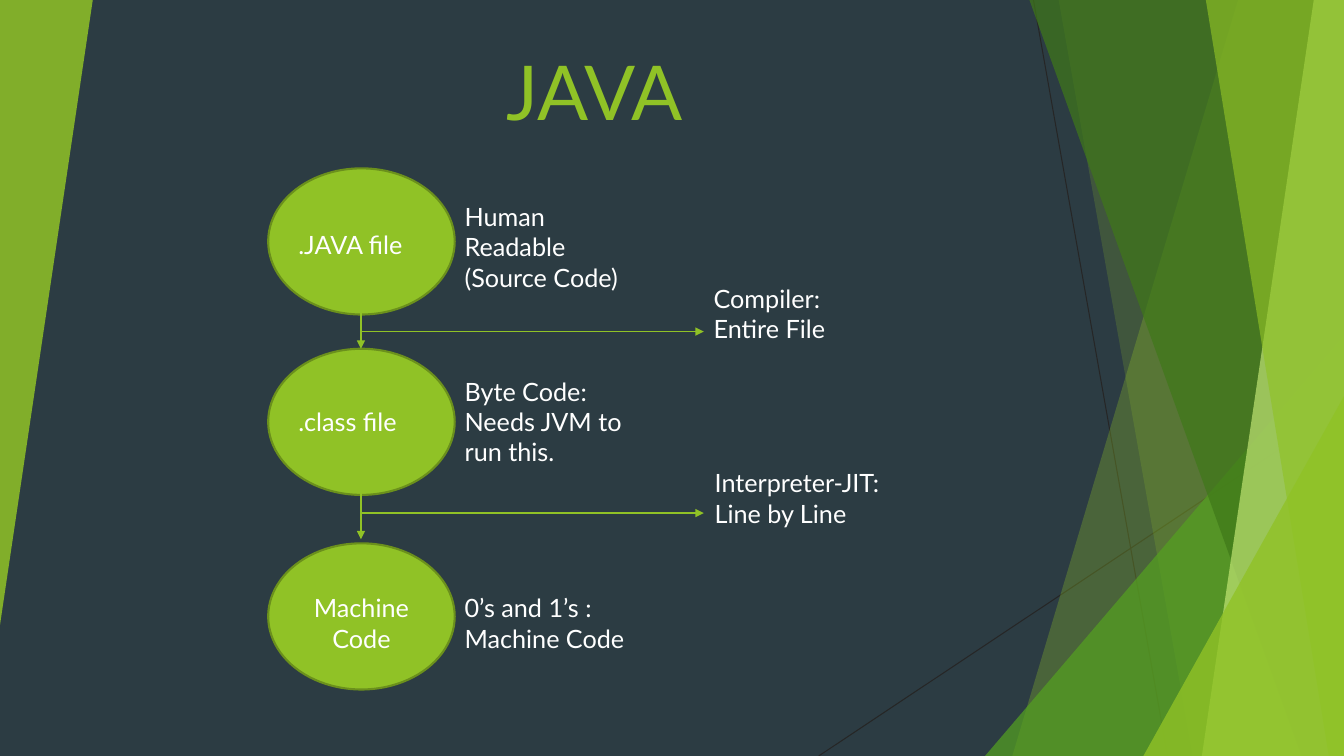
"""Build the JAVA compilation flow slide."""
from dataclasses import dataclass

from lxml.etree import SubElement
from pptx import Presentation
from pptx.dml.color import RGBColor
from pptx.enum.shapes import MSO_CONNECTOR, MSO_SHAPE
from pptx.enum.text import MSO_ANCHOR, PP_ALIGN
from pptx.oxml.ns import qn
from pptx.util import Inches, Pt


@dataclass(frozen=True)
class Theme:
    """Colours, font and type sizes of the slide."""
    background: str = "2C3C43"
    accent: str = "90C226"
    outline: str = "6B901C"
    leaf: str = "54A021"
    forest: str = "3F7819"
    lime: str = "C0E474"
    hairline: str = "262626"
    text: str = "FFFFFF"
    font: str = "Lato"
    title_size: int = 54
    body_size: int = 18


class SlideBuilder:
    """Hold the theme and current slide and draw each kind of element."""

    def __init__(self, slide, theme):
        self.slide = slide
        self.theme = theme
        self.paint(slide.background.fill, theme.background)

    def paint(self, fill, color, opacity=100):
        """Apply a solid colour with a percentage of opacity."""
        fill.solid()
        fill.fore_color.rgb = RGBColor.from_string(color)
        if opacity < 100:
            color_element = fill._xPr.find(qn("a:solidFill"))[0]
            SubElement(color_element, qn("a:alpha"), val=str(opacity * 1000))

    def finish(self, shape, color, opacity=100):
        """Fill a shape and remove its line and shadow."""
        shape.shadow.inherit = False
        self.paint(shape.fill, color, opacity)
        shape.line.fill.background()

    def facet(self, top, bottom, color, opacity):
        """Draw a full-height band from a slanted left edge to the right edge."""
        corners = [(top, 0), (WIDTH, 0), (WIDTH, HEIGHT), (bottom, HEIGHT)]
        points = [(Inches(x), Inches(y)) for x, y in corners]
        outline = self.slide.shapes.build_freeform(*points[0])
        outline.add_line_segments(points[1:], close=True)
        self.finish(outline.convert_to_shape(), color, opacity)

    def triangle(self, box, color, opacity, rotation=0):
        """Draw a right-angled triangle with its apex at the right."""
        shape = self.slide.shapes.add_shape(MSO_SHAPE.ISOSCELES_TRIANGLE, *map(Inches, box))
        shape.adjustments[0] = 1
        shape.rotation = rotation
        self.finish(shape, color, opacity)

    def ellipse(self, box):
        """Draw an outlined stage ellipse."""
        shape = self.slide.shapes.add_shape(MSO_SHAPE.OVAL, *map(Inches, box))
        self.finish(shape, self.theme.accent)
        self.paint(shape.line.fill, self.theme.outline)
        shape.line.width = Pt(1.5)

    def line(self, start, end, color, width, arrow=False):
        """Draw a straight line, optionally ending in an arrowhead."""
        connector = self.slide.shapes.add_connector(
            MSO_CONNECTOR.STRAIGHT, *map(Inches, (*start, *end)))
        self.paint(connector.line.fill, color)
        connector.line.width = Pt(width)
        if arrow:
            SubElement(connector.line._get_or_add_ln(), qn("a:tailEnd"), type="triangle")
        SubElement(connector._element.spPr, qn("a:effectLst"))

    def text(self, box, words, align=PP_ALIGN.LEFT, anchor=MSO_ANCHOR.TOP, **font_values):
        """Add a wrapped text box with one paragraph."""
        frame = self.slide.shapes.add_textbox(*map(Inches, box)).text_frame
        paragraph = frame.paragraphs[0]
        paragraph.text = words
        font = paragraph.runs[0].font
        color = font_values.pop("color", self.theme.text)
        font.color.rgb = RGBColor.from_string(color)
        formats = {
            frame: {"word_wrap": True, "vertical_anchor": anchor},
            paragraph: {"alignment": align},
            font: {"name": self.theme.font, "size": Pt(self.theme.body_size), **font_values},
        }
        for target, values in formats.items():
            for name, value in values.items():
                setattr(target, name, value)


WIDTH, HEIGHT = 13.33, 7.5
STAGE_LEFT, STAGE_WIDTH, STAGE_HEIGHT = 2.66, 1.85, 1.45
LABEL_LEFT, LABEL_WIDTH = 2.86, 1.45
NOTE_LEFT, NOTE_WIDTH = 4.51, 1.84
AXIS, BRANCH_END = 3.58, 6.98

STAGES = [
    (1.67, ".JAVA file", 2.23, PP_ALIGN.LEFT, "Human Readable (Source Code)", 1.95),
    (3.46, ".class file", 3.98, PP_ALIGN.LEFT, "Byte Code: Needs JVM to run this.", 3.68),
    (5.39, "Machine Code", 5.83, PP_ALIGN.CENTER, "0’s and 1’s : Machine Code", 5.83),
]
STEPS = [
    (3.11, 3.46, 3.29, "Compiler: Entire File", 6.98, 2.76),
    (4.87, 5.35, 5.09, "Interpreter-JIT: Line by Line", 6.99, 4.59),
]


def draw_backdrop(builder):
    """Draw the translucent facets at both sides."""
    theme = builder.theme
    builder.line((10.25, 0), (11.58, HEIGHT), theme.hairline, 0.75)
    builder.line((WIDTH, 4.03), (8.12, HEIGHT), theme.hairline, 0.75)
    builder.facet(12.28, 10.04, theme.accent, 30)
    builder.facet(10.5, 11.83, theme.accent, 20)
    builder.triangle((9.77, 3.33, 3.56, 4.17), theme.leaf, 72)
    builder.facet(10.21, 12.91, theme.forest, 70)
    builder.facet(13.03, 11.92, theme.lime, 70)
    builder.facet(11.96, 13.18, theme.accent, 65)
    builder.triangle((11.34, 3.93, 1.99, 3.57), theme.accent, 80)
    builder.triangle((0, 0, 0.92, 6.2), theme.accent, 85, rotation=180)


def draw_flow(builder):
    """Draw the title, the stages and the steps between them."""
    theme = builder.theme
    builder.text((1.65, 0.5, 8.49, 0.9), "JAVA", PP_ALIGN.CENTER, MSO_ANCHOR.BOTTOM,
                 size=Pt(theme.title_size), color=theme.accent)
    for top, label, label_top, align, note, note_top in STAGES:
        builder.ellipse((STAGE_LEFT, top, STAGE_WIDTH, STAGE_HEIGHT))
        builder.text((LABEL_LEFT, label_top, LABEL_WIDTH, 0.4), label, align)
        builder.text((NOTE_LEFT, note_top, NOTE_WIDTH, 0.71), note)
    for start, end, branch, words, left, top in STEPS:
        builder.line((AXIS, start), (AXIS, end), theme.accent, 1, arrow=True)
        builder.line((AXIS, branch), (BRANCH_END, branch), theme.accent, 1, arrow=True)
        builder.text((left, top, NOTE_WIDTH, 0.71), words)


def main():
    """Create and save the presentation."""
    presentation = Presentation()
    presentation.slide_width, presentation.slide_height = Inches(WIDTH), Inches(HEIGHT)
    slide = presentation.slides.add_slide(presentation.slide_layouts[6])
    builder = SlideBuilder(slide, Theme())
    draw_backdrop(builder)
    draw_flow(builder)
    presentation.save("out.pptx")


main()
